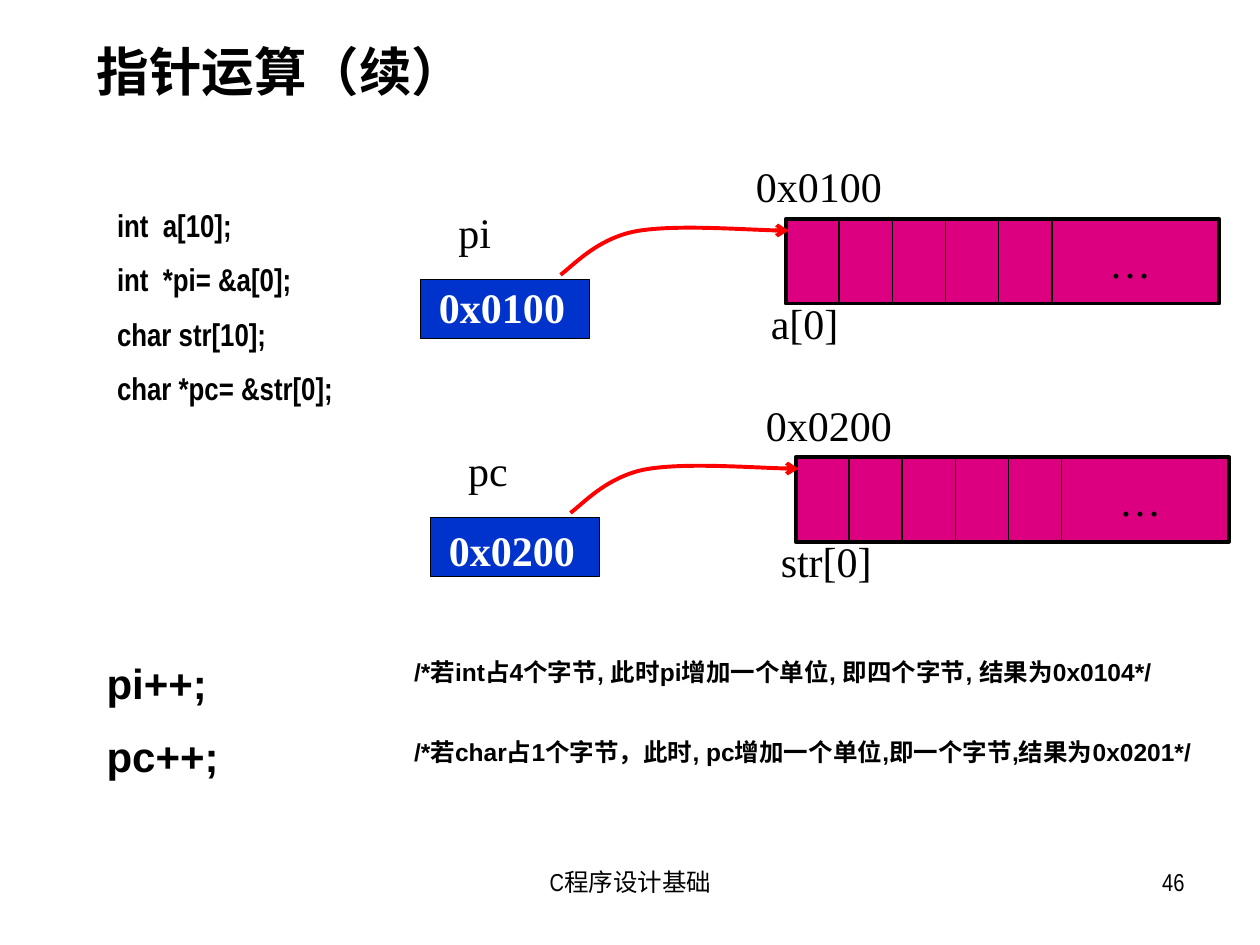
"""Builds the slide on pointer arithmetic in C."""
import lxml.etree
import pptx
import pptx.dml.color
import pptx.enum.shapes
import pptx.enum.text
import pptx.oxml.ns
import pptx.util

Cm, Pt = pptx.util.Cm, pptx.util.Pt
qn = pptx.oxml.ns.qn
ALIGN = pptx.enum.text.PP_ALIGN
ANCHOR = pptx.enum.text.MSO_ANCHOR
SHAPE = pptx.enum.shapes.MSO_SHAPE
COLORS = {"black": "000000", "white": "FFFFFF", "pink": "DC0081", "blue": "0033CC", "red": "FF0000"}
RGB = {k: pptx.dml.color.RGBColor.from_string(v) for k, v in COLORS.items()}


def write(sp, text, size=24, font="Times New Roman", color="black", bold=False, align=ALIGN.LEFT,
          anchor=ANCHOR.TOP, wrap=True, spacing=None, before=0):
    tf = sp.text_frame
    tf.word_wrap = wrap
    tf.vertical_anchor = anchor
    for i, line in enumerate(text.split("\n")):
        p = tf.paragraphs[0] if i == 0 else tf.add_paragraph()
        p.alignment = align
        if spacing:
            p.line_spacing = spacing
        if i:
            p.space_before = Pt(before)
        r = p.add_run()
        r.text = line
        r.font.size = Pt(size)
        r.font.name = font
        r.font.bold = bold
        r.font.color.rgb = RGB[color]


def rect(shapes, x, y, w, h, fill, line=None):
    sp = shapes.add_shape(SHAPE.RECTANGLE, Cm(x), Cm(y), Cm(w), Cm(h))
    sp.shadow.inherit = False
    sp.fill.solid()
    sp.fill.fore_color.rgb = RGB[fill]
    if line:
        sp.line.color.rgb = RGB["black"]
        sp.line.width = Pt(line)
    else:
        sp.line.fill.background()
    return sp


prs = pptx.Presentation()
prs.slide_width, prs.slide_height = Cm(25.4), Cm(19.05)
s = prs.slides.add_slide(prs.slide_layouts[6])

texts = [
    ((8.69, 17.35, 8.05, 1.32), "C程序设计基础", dict(size=14, font="Arial Narrow", align=ALIGN.CENTER)),
    ((18.21, 17.35, 5.92, 1.32), "46", dict(size=14, font="Arial Narrow", align=ALIGN.RIGHT)),
    ((1.7, 0.53, 22.76, 2.01), "指针运算（续）",
     dict(size=30, font="Arial Narrow", bold=True, anchor=ANCHOR.MIDDLE, spacing=0.8)),
    ((2.11, 4.11, 22.4, 8.99), "int  a[10];\nint  *pi= &a[0];\nchar str[10];\nchar *pc= &str[0];",
     dict(size=18, font="Arial Narrow", bold=True, spacing=0.9, before=11.7)),
]
for box, text, fmt in texts:
    write(s.shapes.add_textbox(*map(Cm, box)), text, **fmt)

rows = [
    (0, 0, "pi", "0x0100", "a[0]", 1.88, 5.56),
    (0.2, 4.8, "pc", "0x0200", "str[0]", 2.34, 10.44),
]
curve = [(11.3, 5.54), (11.53, 5.38), (12.01, 4.83), (12.78, 4.67), (13.54, 4.52), (15.24, 4.65), (15.9, 4.65)]
for dx, dy, name, address, first, first_w, value_y in rows:
    grp = s.shapes.add_group_shape()
    sp = rect(grp.shapes, 15.84 + dx, 4.42 + dy, 8.74, 1.7, "pink", 2.25)
    sp.text_frame.margin_left = Cm(5.4)
    write(sp, "…", align=ALIGN.CENTER, anchor=ANCHOR.MIDDLE)
    for i in range(5):
        x = Cm(16.92 + dx + 1.07 * i)
        cx = grp.shapes.add_connector(pptx.enum.shapes.MSO_CONNECTOR.STRAIGHT, x, Cm(4.44 + dy), x, Cm(6.12 + dy))
        cx.line.color.rgb = RGB["black"]
        cx.line.width = Pt(1)
        lxml.etree.SubElement(cx._element.spPr, qn("a:effectLst"))
    write(grp.shapes.add_textbox(Cm(15.29 + dx), Cm(5.87 + dy), Cm(first_w), Cm(1.27)), first, wrap=False)

    write(s.shapes.add_textbox(Cm(8.99 + dx), Cm(4.04 + dy), Cm(1.5), Cm(1.27)), name)
    write(s.shapes.add_textbox(Cm(14.99 + dx), Cm(3.12 + dy), Cm(3.4), Cm(1.27)), address)

    pts = [(Cm(x + dx), Cm(y + dy)) for x, y in curve]
    fb = s.shapes.build_freeform(*pts[0])
    fb.add_line_segments(pts[1:], close=False)
    sp = fb.convert_to_shape()
    sp.shadow.inherit = False
    sp.fill.background()
    sp.line.color.rgb = RGB["red"]
    sp.line.width = Pt(2.25)
    lxml.etree.SubElement(sp._element.xpath(".//a:ln")[0], qn("a:tailEnd"), type="arrow")
    segments = sp._element.xpath(".//a:lnTo")
    for i in range(0, len(segments), 3):
        bezier = lxml.etree.SubElement(segments[i].getparent(), qn("a:cubicBezTo"))
        for seg in segments[i:i + 3]:
            bezier.append(seg[0])
            seg.getparent().remove(seg)

    rect(s.shapes, 8.48 + dx, 5.64 + dy, 3.4, 1.19, "blue", 0.75)
    write(s.shapes.add_textbox(Cm(8.6 + dx), Cm(value_y), Cm(3.5), Cm(1.27)), address, color="white", bold=True)

write(rect(s.shapes, 1.9, 13.13, 21.8, 2.8, "white"), "pi++;\npc++;", font="Arial", bold=True, before=13)
comments = [
    (13.13, 16.41, "/*若int占4个字节, 此时pi增加一个单位, 即四个字节, 结果为0x0104*/"),
    (14.73, 17.3, "/*若char占1个字节，此时, pc增加一个单位,即一个字节,结果为0x0201*/"),
]
for y, w, text in comments:
    write(s.shapes.add_textbox(Cm(8.1), Cm(y), Cm(w), Cm(0.85)), text, size=14, font="Arial", bold=True)

prs.save("out.pptx")
